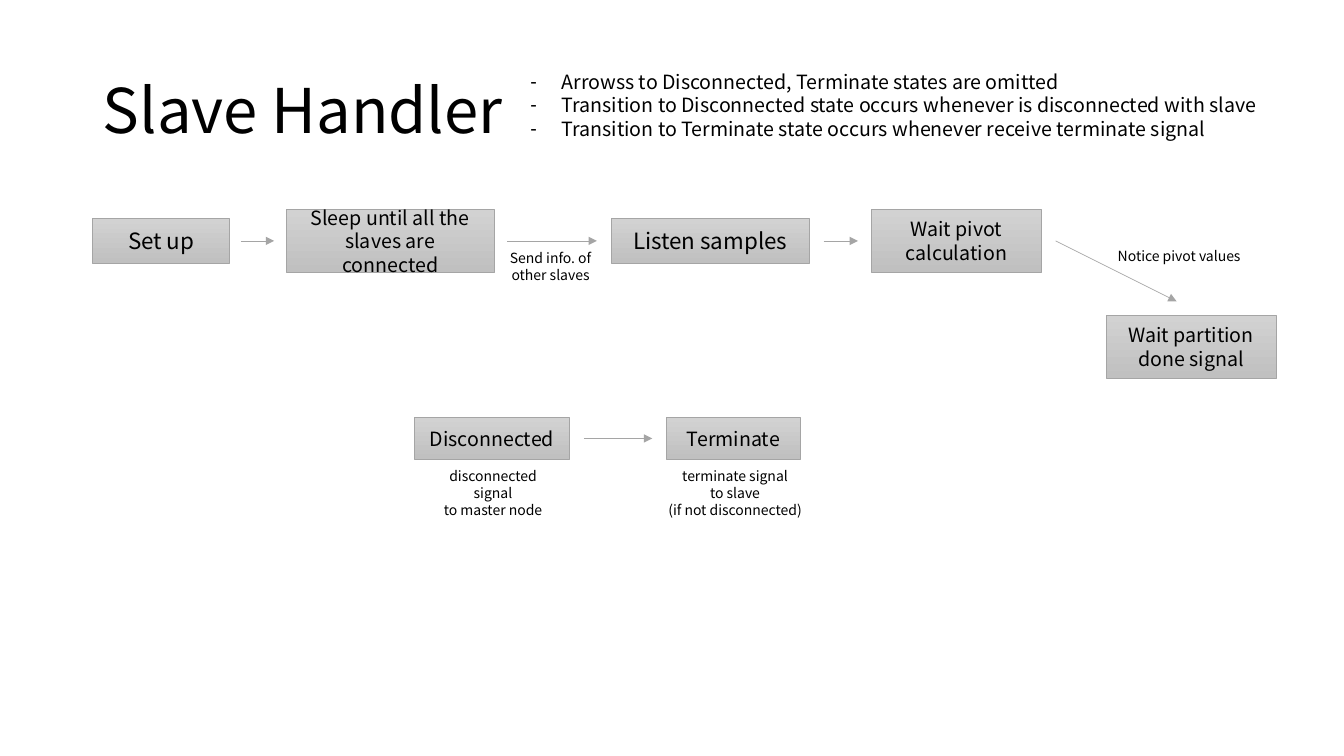
import pptx
import pptx.util
import pptx.dml.color
import pptx.enum.shapes
import pptx.enum.text
import pptx.oxml
import pptx.oxml.ns
from lxml import etree

Inches, Pt = pptx.util.Inches, pptx.util.Pt
ALIGN = pptx.enum.text.PP_ALIGN
ANCHOR = pptx.enum.text.MSO_ANCHOR
FONT = "Noto Sans CJK KR"
COLORS = {"text": "000000", "edge": "A5A5A5", "state_top": "D2D2D2", "state_bottom": "C0C0C0"}

STATES_Y, ENDINGS_Y = 2.39, 4.35  # centre lines of the two rows


def rgb(name):
    return pptx.dml.color.RGBColor.from_string(COLORS[name])


def write(shape, text, size=14, align=ALIGN.CENTER, anchor=ANCHOR.MIDDLE, wrap=True, spacing=1.0):
    """Fill a shape with one paragraph per line of text."""
    frame = shape.text_frame
    frame.text = text
    frame.word_wrap = wrap
    frame.auto_size = pptx.enum.text.MSO_AUTO_SIZE.NONE
    frame.vertical_anchor = anchor
    for paragraph in frame.paragraphs:
        paragraph.alignment = align
        paragraph.line_spacing = spacing
        paragraph.space_before = Pt(0)
        paragraph.font.size = Pt(size)
        paragraph.font.name = FONT
        paragraph.font.color.rgb = rgb("text")


def place(shape, left, top, width, height):
    shape.left, shape.top = Inches(left), Inches(top)
    shape.width, shape.height = Inches(width), Inches(height)


def add_heading(slide, left, top, width, height):
    title = slide.shapes.title
    place(title, left, top, width, height)
    write(title, "Slave Handler", size=44, align=ALIGN.LEFT, spacing=0.9)


def add_remarks(slide, left, top, width, height):
    remarks = slide.placeholders[1]
    place(remarks, left, top, width, height)
    write(remarks, "Arrowss to Disconnected, Terminate states are omitted\n"
                   "Transition to Disconnected state occurs whenever is disconnected with slave\n"
                   "Transition to Terminate state occurs whenever receive terminate signal",
          align=ALIGN.JUSTIFY, anchor=ANCHOR.TOP)
    # Dash bullets with a hanging indent
    for paragraph in remarks.text_frame.paragraphs:
        properties = paragraph.alignment is not None and paragraph._p.get_or_add_pPr()
        properties.set("marL", str(Inches(0.31)))
        properties.set("indent", str(-Inches(0.31)))
        dash = pptx.oxml.parse_xml(
            '<a:buChar xmlns:a="http://schemas.openxmlformats.org/drawingml/2006/main" char="-"/>')
        properties.find(pptx.oxml.ns.qn("a:defRPr")).addprevious(dash)


def add_state(slide, name, left, middle, width, height, size=14):
    state = slide.shapes.add_shape(
        pptx.enum.shapes.MSO_SHAPE.RECTANGLE,
        Inches(left), Inches(middle - height / 2), Inches(width), Inches(height))
    state.shadow.inherit = False
    state.fill.gradient()
    state.fill.gradient_angle = 270
    for stop, color, position in zip(state.fill.gradient_stops, ("state_top", "state_bottom"), (0, 1)):
        stop.color.rgb = rgb(color)
        stop.position = position
    state.line.color.rgb = rgb("edge")
    state.line.width = Pt(0.5)
    write(state, name, size=size)


def add_transition(slide, x1, y1, x2, y2):
    arrow = slide.shapes.add_connector(
        pptx.enum.shapes.MSO_CONNECTOR.STRAIGHT, Inches(x1), Inches(y1), Inches(x2), Inches(y2))
    arrow.line.color.rgb = rgb("edge")
    arrow.line.width = Pt(0.5)
    qn = pptx.oxml.ns.qn
    etree.SubElement(arrow.line._get_or_add_ln(), qn("a:tailEnd"), type="triangle")
    etree.SubElement(arrow._element.spPr, qn("a:effectLst"))


def add_label(slide, text, left, top, width, height, wrap=False):
    label = slide.shapes.add_textbox(Inches(left), Inches(top), Inches(width), Inches(height))
    write(label, text, size=10, anchor=ANCHOR.TOP, wrap=wrap)


def add_main_flow(slide, middle):
    # States along the row: name, left, width, height, text size
    for name, left, width, height, size in (
            ("Set up", 0.92, 1.36, 0.44, 16),
            ("Sleep until all the\nslaves are connected", 2.84, 2.06, 0.62, 14),
            ("Listen samples", 6.06, 1.97, 0.44, 16),
            ("Wait pivot\ncalculation", 8.64, 1.69, 0.62, 14)):
        add_state(slide, name, left, middle, width, height, size=size)
    add_state(slide, "Wait partition\ndone signal", 10.97, middle + 1.05, 1.69, 0.62)

    # Transitions and their messages
    for start, end in ((2.39, 2.72), (5.03, 5.92), (8.17, 8.51)):
        add_transition(slide, start, middle, end, middle)
    add_transition(slide, 10.47, middle, 11.67, middle + 0.6)
    add_label(slide, "Send info. of\nother slaves", 4.95, middle + 0.04, 1.02, 0.44)
    add_label(slide, "Notice pivot values", 10.98, middle + 0.02, 1.43, 0.27)


def add_endings(slide, middle):
    add_state(slide, "Disconnected", 4.11, middle, 1.54, 0.41)
    add_state(slide, "Terminate", 6.61, middle, 1.33, 0.41)
    add_transition(slide, 5.79, middle, 6.47, middle)
    add_label(slide, "disconnected signal\nto master node", 4.16, middle + 0.24, 1.46, 0.61, wrap=True)
    add_label(slide, "terminate signal\nto slave\n(if not disconnected)", 6.53, middle + 0.24, 1.52, 0.61)


def main():
    deck = pptx.Presentation()
    deck.slide_width, deck.slide_height = Inches(13.33), Inches(7.5)
    slide = deck.slides.add_slide(deck.slide_layouts[1])
    add_heading(slide, 0.92, 0.4, 11.5, 1.45)
    add_remarks(slide, 5.16, 0.64, 7.83, 0.81)
    add_main_flow(slide, STATES_Y)
    add_endings(slide, ENDINGS_Y)
    deck.save("out.pptx")


if __name__ == "__main__":
    main()
